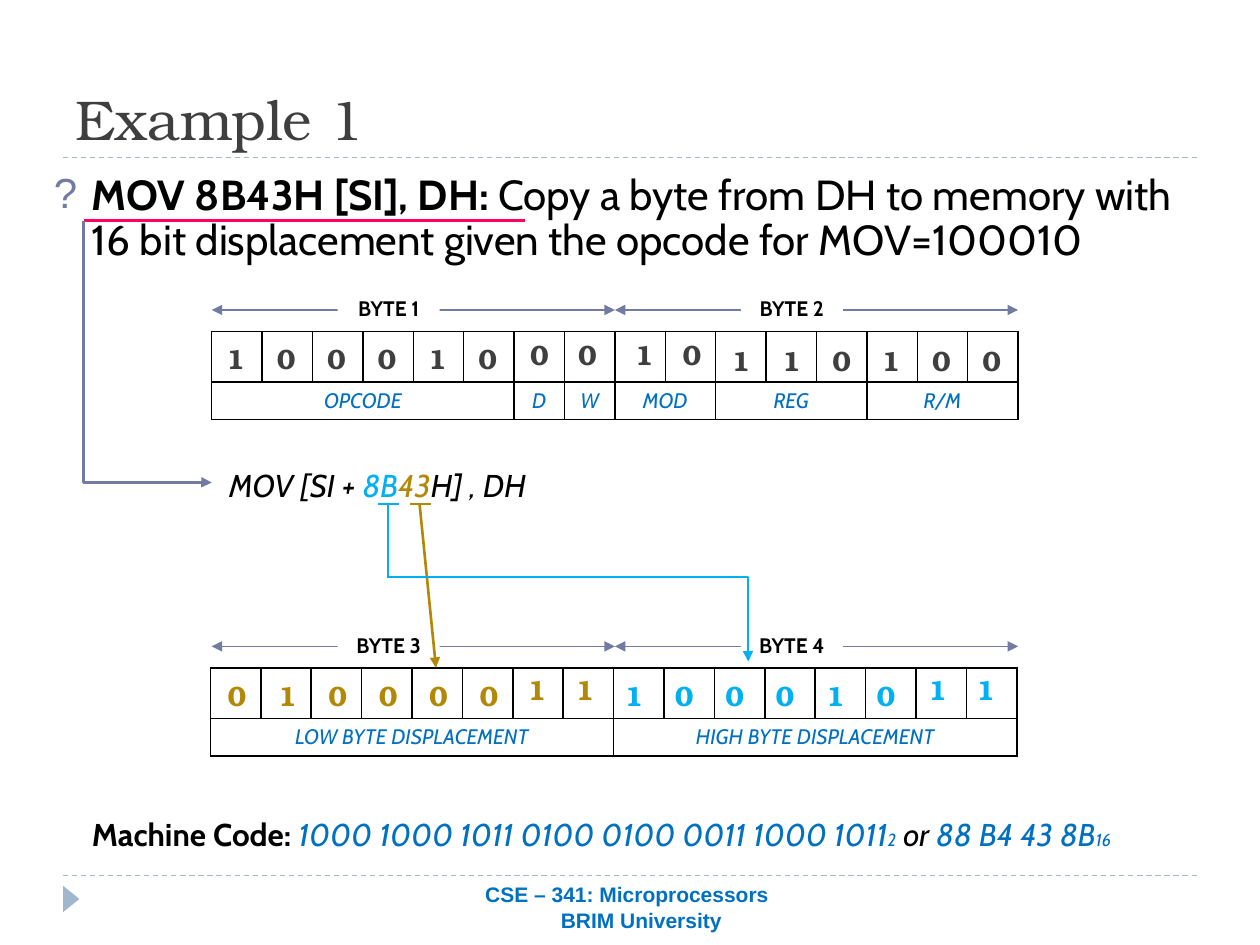
from dataclasses import dataclass

from pptx import Presentation
from pptx.dml.color import RGBColor
from pptx.enum.dml import MSO_LINE
from pptx.enum.shapes import MSO_CONNECTOR, MSO_SHAPE
from pptx.enum.text import MSO_ANCHOR, PP_ALIGN
from pptx.oxml.ns import qn
from pptx.util import Inches, Pt
from lxml.etree import SubElement


@dataclass(frozen=True)
class Theme:
    ink: str = "000000"
    gray: str = "3F3F3F"
    paper: str = "FFFFFF"
    rule: str = "9FB8CD"
    slate: str = "727CA3"
    blue: str = "0070C0"
    sky: str = "00B0F0"
    gold: str = "B38806"
    pink: str = "FF0066"
    sans: str = "Cabin"
    serif: str = "TeX Gyre Bonum"
    plain: str = "Arial"
    title: int = 32
    lead: int = 24
    body: int = 18
    digit: int = 16
    label: int = 12
    small: int = 10


@dataclass(frozen=True)
class Box:
    """Place on the slide grid of 100 columns by 75 rows."""
    x: float
    y: float
    w: float
    h: float


@dataclass(frozen=True)
class Bits:
    """Digits set in a row of cells, then single ones in boxes."""
    x: float
    y: float
    text: str
    color: str


T = Theme()
CELL = 4      # grid columns per bit
LEFT = 16.8   # left edge of the byte rows
BYTE = 8 * CELL

prs = Presentation()
prs.slide_width, prs.slide_height = Inches(10), Inches(7.5)
slide = prs.slides.add_slide(prs.slide_layouts[6])
shapes = slide.shapes


def unit(n: float) -> int:
    return round(prs.slide_width * n / 100)


def place(box: Box) -> tuple:
    return unit(box.x), unit(box.y), unit(box.w), unit(box.h)


def write(par, text: str, size: int = T.body, color: str = T.ink,
          font: str = T.sans, bold: bool = False, italic: bool = False) -> None:
    run = par.add_run()
    run.text = text
    face = run.font
    face.size, face.name, face.bold, face.italic = Pt(size), font, bold, italic
    face.color.rgb = RGBColor.from_string(color)


def panel(box: Box, fill: str = "", center: bool = False, anchor=MSO_ANCHOR.TOP):
    """Add a text box and return its first paragraph."""
    shape = shapes.add_textbox(*place(box))
    if fill:
        shape.fill.solid()
        shape.fill.fore_color.rgb = RGBColor.from_string(fill)
    frame = shape.text_frame
    frame.word_wrap, frame.vertical_anchor = True, anchor
    par = frame.paragraphs[0]
    if center:
        par.alignment = PP_ALIGN.CENTER
    return par


def line(x1: float, y1: float, x2: float, y2: float, color: str, width: float,
         head: bool = False, tail: bool = False, bent: bool = False):
    kind = MSO_CONNECTOR.ELBOW if bent else MSO_CONNECTOR.STRAIGHT
    link = shapes.add_connector(kind, unit(x1), unit(y1), unit(x2), unit(y2))
    link.line.color.rgb = RGBColor.from_string(color)
    link.line.width = Pt(width)
    props = link._element.spPr
    for end, shown in (("a:headEnd", head), ("a:tailEnd", tail)):
        if shown:
            SubElement(props.find(qn("a:ln")), qn(end), type="triangle")
    SubElement(props, qn("a:effectLst"))
    if bent:
        guides = props.find(qn("a:prstGeom")).get_or_add_avLst()
        SubElement(guides, qn("a:gd"), name="adj1", fmla="val 99900")
    return link


def edge(cell, color: str) -> None:
    """Draw all four borders of a cell, or none without a colour."""
    props = cell._tc.get_or_add_tcPr()
    for side in ("a:lnL", "a:lnR", "a:lnT", "a:lnB"):
        ln = SubElement(props, qn(side), w=str(Pt(1)))
        if color:
            SubElement(SubElement(ln, qn("a:solidFill")), qn("a:srgbClr"), val=color)
        else:
            SubElement(ln, qn("a:noFill"))
    cell.fill.background()


def grid(x: float, y: float, cols: int, rows: list[float], color: str = ""):
    box = Box(x, y, cols * CELL, sum(rows))
    table = shapes.add_table(len(rows), cols, *place(box)).table
    table.first_row = table.horz_banding = False
    for row, high in zip(table.rows, rows):
        row.height = unit(high)
    for col in table.columns:
        col.width = unit(CELL)
    for cell in table.iter_cells():
        edge(cell, color)
    return table


def fields(x: float, y: float, parts: list[tuple[str, int]]) -> None:
    """Draw empty bit cells above their merged field names."""
    table, col = grid(x, y, 16, [4, 3], T.ink), 0
    for name, span in parts:
        cell = table.cell(1, col)
        if span > 1:
            cell.merge(table.cell(1, col + span - 1))
        par = cell.text_frame.paragraphs[0]
        par.alignment = PP_ALIGN.CENTER
        write(par, name, T.label, T.blue, italic=True)
        col += span


def digits(bits: Bits) -> None:
    table = grid(bits.x, bits.y, len(bits.text), [3.7])
    for cell, digit in zip(table.iter_cells(), bits.text):
        par = cell.text_frame.paragraphs[0]
        par.alignment = PP_ALIGN.CENTER
        write(par, digit, T.digit, bits.color, T.serif, bold=True)


def loose(bits: Bits) -> None:
    for i, digit in enumerate(bits.text):
        par = panel(Box(bits.x + 3.8 * i, bits.y, 3.3, 3.7), center=True)
        write(par, digit, T.digit, bits.color, T.serif, bold=True)


# Frame rules and corner mark
for y in (69.5, 12.5):
    line(5, y, 95, y, T.rule, 0.75).line.dash_style = MSO_LINE.DASH
mark = shapes.add_shape(MSO_SHAPE.ISOSCELES_TRIANGLE, *place(Box(4.6, 70.7, 2.1, 1.3)))
mark.rotation, mark.shadow.inherit = 90, False
mark.fill.solid()
mark.fill.fore_color.rgb = RGBColor.from_string(T.rule)
mark.line.fill.background()

# Title and task
write(panel(Box(5, 1.7, 90, 10.8), anchor=MSO_ANCHOR.BOTTOM),
      "Example 1", T.title, T.gray, T.serif)
task = panel(Box(3.3, 13.3, 93.3, 54), T.paper)
task.line_spacing = 0.9
props = task._p.get_or_add_pPr()
props.set("marL", str(unit(3)))
props.set("indent", str(-unit(3)))
SubElement(SubElement(props, qn("a:buClr")), qn("a:srgbClr"), val=T.slate)
SubElement(props, qn("a:buFont"), typeface=T.plain)
SubElement(props, qn("a:buChar"), char="?")
write(task, "MOV 8B43H [SI], DH: ", T.lead, bold=True)
write(task, "Copy a byte from DH to memory with 16 bit displacement "
            "given the opcode for MOV=100010", T.lead)

# Parsed command
code = panel(Box(17.2, 36.5, 26.7, 4))
for text, color in (("MOV [SI + ", T.ink), ("8B", T.sky), ("43", T.gold), ("H] , DH", T.ink)):
    write(code, text, color=color, italic=True)

# Byte rows with their field names
fields(LEFT, 26.3, [("OPCODE", 6), ("D", 1), ("W", 1), ("MOD", 2), ("REG", 3), ("R/M", 3)])
fields(LEFT - 0.1, 53, [("LOW BYTE DISPLACEMENT", 8), ("HIGH BYTE DISPLACEMENT", 8)])
for i in range(4):
    x, y = LEFT + i % 2 * BYTE, 24.6 + i // 2 * 26.7
    line(x, y, x + BYTE, y, T.slate, 0.75, head=True, tail=True)
    write(panel(Box(x + 10, y - 1.6, 8.1, 3), T.paper, center=True),
          f"BYTE {i + 1}", T.label, bold=True)

# Bit values
for bits in (Bits(16.7, 26.3, "100010", T.gray), Bits(56.8, 26.4, "110", T.gray),
             Bits(68.7, 26.4, "100", T.gray), Bits(16.8, 53, "010000", T.gold),
             Bits(48.3, 53, "100010", T.sky)):
    digits(bits)
for bits in (Bits(41.1, 26.3, "00", T.gray), Bits(49.4, 26.3, "10", T.gray),
             Bits(40.9, 52.9, "11", T.gold), Bits(72.7, 52.9, "11", T.sky)):
    loose(bits)

# Links from the task to the command and on to the bytes
line(6.7, 17.5, 41.7, 17.5, T.pink, 2.25)
turn = line(1.3, 22.8, 22.1, 33, T.slate, 1.5, tail=True, bent=True)
turn.rotation = 270
turn._element.spPr.find(qn("a:xfrm")).set("flipH", "1")
line(33.3, 40, 34.6, 53, T.gold, 1.5, tail=True)
line(32.5, 40, 34.2, 40, T.gold, 1.5)
line(30, 40, 31.7, 40, T.sky, 1.5)
line(30.8, 45.8, 59.4, 52.5, T.sky, 1.5, tail=True, bent=True)
line(30.8, 40, 30.8, 45.9, T.sky, 1.5)

# Result
code = panel(Box(6.3, 64.2, 85.8, 4))
write(code, "Machine Code: ", bold=True)
for text, size, color in (("1000 1000 1011 0100 0100 0011 1000 1011", T.body, T.blue),
                          ("2", T.small, T.blue), (" or", T.body, T.ink),
                          (" 88 B4 43 8B", T.body, T.blue), ("16", T.small, T.blue)):
    write(code, text, size, color, italic=True)

# Footer
foot = panel(Box(25, 69.5, 50, 4), center=True)
write(foot, "CSE – 341: Microprocessors ", T.label, T.blue, T.plain, bold=True)
foot = shapes[-1].text_frame.add_paragraph()
foot.alignment = PP_ALIGN.CENTER
foot._p.get_or_add_pPr().set("marL", str(unit(1.8)))
write(foot, "BRIM University", T.label, T.blue, T.plain, bold=True)

prs.save("out.pptx")
